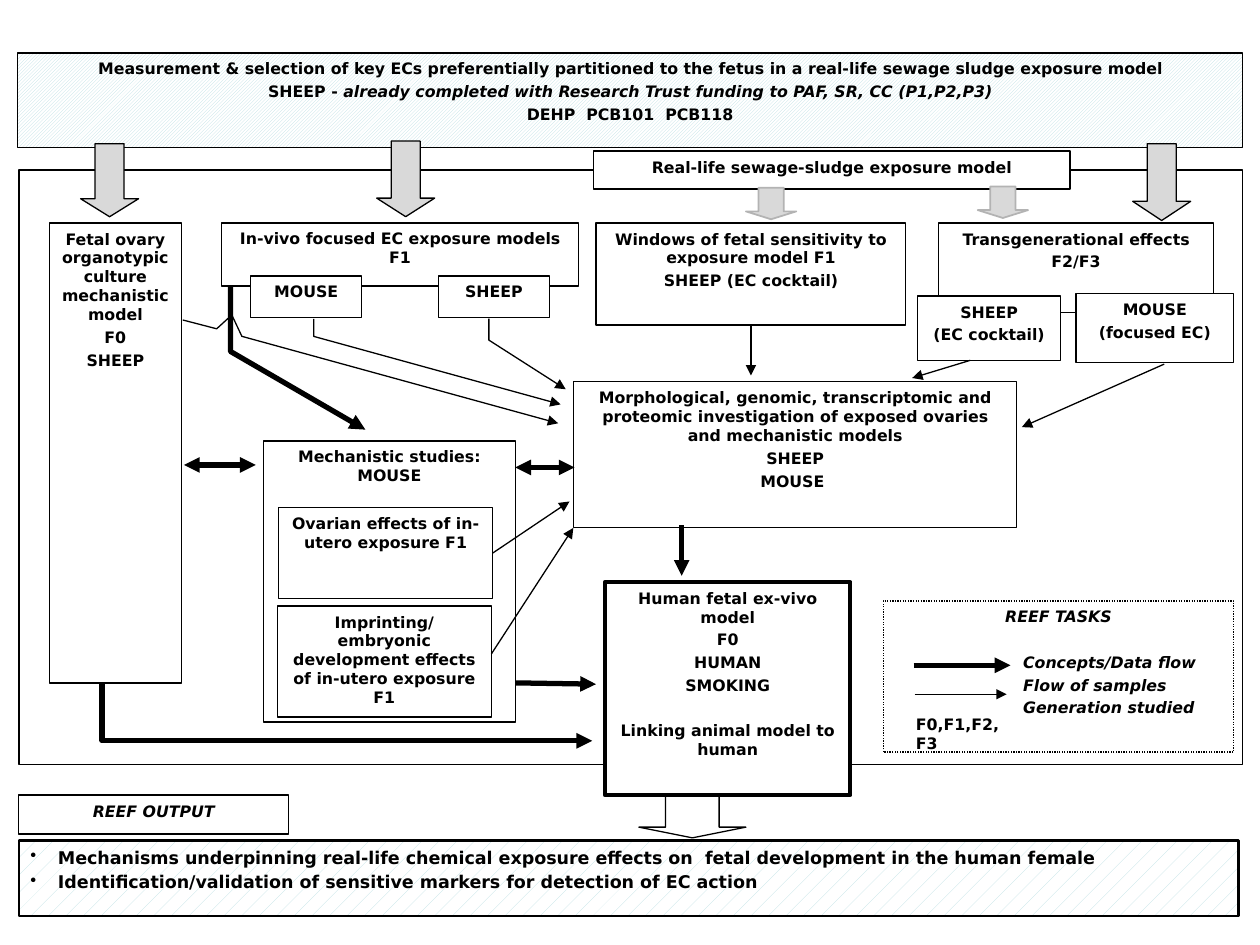
from dataclasses import dataclass

from lxml import etree
from pptx import Presentation
from pptx.dml.color import RGBColor
from pptx.enum.dml import MSO_LINE, MSO_PATTERN
from pptx.enum.shapes import MSO_CONNECTOR, MSO_SHAPE
from pptx.enum.text import MSO_ANCHOR, PP_ALIGN
from pptx.oxml.ns import qn
from pptx.util import Inches, Pt

RECTANGLE = MSO_SHAPE.RECTANGLE
DOWN_ARROW = MSO_SHAPE.DOWN_ARROW
STRAIGHT = MSO_CONNECTOR.STRAIGHT
DOTTED = MSO_LINE.ROUND_DOT
FINE_DOTS = MSO_PATTERN.PERCENT_5
DIAGONALS = MSO_PATTERN.LIGHT_UPWARD_DIAGONAL
LEFT, CENTER = PP_ALIGN.LEFT, PP_ALIGN.CENTER
TOP = MSO_ANCHOR.TOP
BOTTOM_SIDE, RIGHT_SIDE = 2, 3


@dataclass(frozen=True)
class Theme:
    font: str = "DejaVu Sans"
    ink: str = "000000"
    paper: str = "FFFFFF"
    tint: str = "BBE0E3"
    grey: str = "D9D9D9"
    grey_edge: str = "B3B3B3"
    body: float = 9
    output: float = 10
    paragraph_gap: float = 2.2
    section_gap: float = 15
    thin: float = 0.75
    medium: float = 1
    strong: float = 1.5
    heavy: float = 2.25
    flow: float = 3


class Diagram:
    def __init__(self, slide, theme):
        self.slide = slide
        self.theme = theme

    def color(self, value):
        return RGBColor.from_string(value)

    def outline(self, shape, width, color=None):
        shape.line.width = Pt(width)
        shape.line.color.rgb = self.color(color or self.theme.ink)

    def arrowheads(self, shape, both=False):
        line = shape.line._get_or_add_ln()
        for tag in ("a:headEnd", "a:tailEnd") if both else ("a:tailEnd",):
            etree.SubElement(line, qn(tag), type="triangle")

    def set_text(self, shape, paragraphs, align=CENTER, italic=False, size=None, bullet=False):
        """Each paragraph is a string or a list of (text, italic) spans."""
        frame = shape.text_frame
        frame.word_wrap = True
        frame.vertical_anchor = TOP
        frame.margin_left = frame.margin_right = Inches(0.09)
        for index, content in enumerate(paragraphs):
            para = frame.add_paragraph() if index else frame.paragraphs[0]
            para.alignment = align
            if index:
                para.space_before = Pt(self.theme.paragraph_gap)
            if bullet:
                properties = para._p.get_or_add_pPr()
                properties.set("marL", str(Inches(0.22)))
                properties.set("indent", str(-Inches(0.22)))
                etree.SubElement(properties, qn("a:buChar"), char="•")
            spans = [(content, italic)] if isinstance(content, str) else content
            for text, slanted in spans:
                span = para.add_run()
                span.text = text
                span.font.name = self.theme.font
                span.font.size = Pt(size or self.theme.body)
                span.font.bold = True
                span.font.italic = slanted
                span.font.color.rgb = self.color(self.theme.ink)

    def box(self, place, paragraphs=(), fill=None, pattern=None, width=None, **text_style):
        box = self.slide.shapes.add_shape(RECTANGLE, *map(Inches, place))
        box.shadow.inherit = False
        if pattern:
            box.fill.patterned()
            box.fill.pattern = pattern
            box.fill.fore_color.rgb = self.color(self.theme.tint)
            box.fill.back_color.rgb = self.color(self.theme.paper)
        elif fill:
            box.fill.solid()
            box.fill.fore_color.rgb = self.color(fill)
        else:
            box.fill.background()
        self.outline(box, width or self.theme.thin)
        self.set_text(box, paragraphs, **text_style)
        return box

    def label(self, place, paragraphs, **text_style):
        label = self.slide.shapes.add_textbox(*map(Inches, place))
        self.set_text(label, paragraphs, align=LEFT, **text_style)

    def block_arrow(self, place, fill, head=0.25, width=None, edge=None):
        arrow = self.slide.shapes.add_shape(DOWN_ARROW, *map(Inches, place))
        arrow.shadow.inherit = False
        arrow.adjustments[0], arrow.adjustments[1] = 0.5, head
        arrow.fill.solid()
        arrow.fill.fore_color.rgb = self.color(fill)
        self.outline(arrow, width or self.theme.thin, edge)

    def arrow(self, start, end, width=None, both=False, source=None, side=None):
        arrow = self.slide.shapes.add_connector(STRAIGHT, *map(Inches, start + end))
        if source is not None:
            arrow.begin_connect(source, side)
        self.outline(arrow, width or self.theme.thin)
        self.arrowheads(arrow, both)
        etree.SubElement(arrow._element.spPr, qn("a:effectLst"))

    def bent_arrow(self, points, width=None):
        start, *rest = [tuple(map(Inches, point)) for point in points]
        builder = self.slide.shapes.build_freeform(*start)
        builder.add_line_segments(rest, close=False)
        arrow = builder.convert_to_shape()
        arrow.shadow.inherit = False
        arrow.fill.background()
        self.outline(arrow, width or self.theme.thin)
        self.arrowheads(arrow)


def main():
    deck = Presentation()
    deck.slide_width, deck.slide_height = Inches(10), Inches(7.5)
    theme = Theme()
    page = Diagram(deck.slides.add_slide(deck.slide_layouts[6]), theme)
    paper = theme.paper

    # Frame and arrows that lie behind the boxes
    page.block_arrow((5.07, 6.31, 0.85, 0.34), paper)
    page.arrow((5.41, 4.17), (5.41, 4.57), theme.flow)
    page.box((0.15, 1.35, 9.71, 4.72))

    # Central investigation and exposure studies
    page.box((4.55, 3.03, 3.52, 1.16), [
        "Morphological, genomic, transcriptomic and proteomic investigation "
        "of exposed ovaries and mechanistic models", "SHEEP", "MOUSE "])
    windows = page.box((4.73, 1.77, 2.46, 0.81), [
        "Windows of fetal sensitivity to exposure model F1", "SHEEP (EC cocktail)"], fill=paper)
    page.box((0.39, 1.77, 1.05, 3.65), [
        "Fetal ovary organotypic culture mechanistic model", "F0", "SHEEP"])
    human = page.box((4.8, 4.62, 1.95, 1.69), [
        "Human fetal ex-vivo model", "F0", "HUMAN", "SMOKING",
        "Linking animal model to human"], fill=paper, width=theme.heavy)
    human.text_frame.paragraphs[-1].space_before = Pt(theme.section_gap)
    page.box((7.45, 1.77, 2.18, 0.71), ["Transgenerational effects", "F2/F3"])
    page.box((1.76, 1.77, 2.83, 0.5), ["In-vivo focused EC exposure models F1"])
    for left, species in ((1.99, "MOUSE"), (3.48, "SHEEP")):
        page.box((left, 2.19, 0.88, 0.33), [species], fill=paper)
    page.box((7.28, 2.35, 1.14, 0.51), ["SHEEP", "(EC cocktail)"], fill=paper)
    page.box((8.54, 2.33, 1.25, 0.55), ["MOUSE", "(focused EC)"], fill=paper)

    # Mechanistic studies
    page.box((2.09, 3.5, 2, 2.23), ["Mechanistic studies: MOUSE"])
    page.box((2.2, 4.81, 1.7, 0.88), [
        "Imprinting/embryonic development effects of in-utero exposure F1"])
    ovarian = page.box((2.21, 4.03, 1.7, 0.72), ["Ovarian effects of in-utero exposure F1"])

    # Top panel and its block arrows
    page.box((0.14, 0.42, 9.72, 0.75), [
        "Measurement & selection of key ECs preferentially partitioned to the fetus "
        "in a real-life sewage sludge exposure model",
        [("SHEEP - ", False),
         ("already completed with Research Trust funding to PAF, SR, CC (P1,P2,P3)", True)],
        "DEHP  PCB101  PCB118"], pattern=DIAGONALS)
    for left, top, height, head in ((0.64, 1.14, 0.58, 0.31), (2.99, 1.12, 0.6, 0.32),
                                    (8.99, 1.14, 0.61, 0.33)):
        page.block_arrow((left, top, 0.46, height), theme.grey, head)
    page.box((4.71, 1.2, 3.78, 0.3), ["Real-life sewage-sludge exposure model"],
             fill=paper, width=theme.medium)
    for left, top in ((5.92, 1.49), (7.76, 1.48)):
        page.block_arrow((left, top, 0.4, 0.25), theme.grey,
                         width=theme.medium, edge=theme.grey_edge)

    # Flow of samples
    page.bent_arrow([(3.88, 2.53), (3.88, 2.7), (4.49, 3.09)])
    page.bent_arrow([(2.49, 2.53), (2.49, 2.67), (4.45, 3.21)])
    page.bent_arrow([(1.45, 2.54), (1.72, 2.61), (1.84, 2.5), (1.92, 2.67), (4.43, 3.36)])
    page.arrow((3.91, 4.39), (4.52, 3.98), source=ovarian, side=RIGHT_SIDE)
    page.arrow((5.96, 2.58), (5.96, 2.98), source=windows, side=BOTTOM_SIDE)
    for start, end in (((3.9, 5.19), (4.55, 4.19)), ((7.7, 2.86), (7.24, 3)),
                       ((9.24, 2.89), (8.11, 3.39))):
        page.arrow(start, end)

    # Concepts and data flow
    page.bent_arrow([(0.81, 5.42), (0.81, 5.88), (4.7, 5.88)], theme.flow)
    page.bent_arrow([(1.83, 2.27), (1.83, 2.79), (2.9, 3.41)], theme.flow)
    page.arrow((4.09, 5.42), (4.73, 5.43), theme.flow)
    page.arrow((4.56, 3.71), (4.09, 3.71), theme.flow, both=True)
    page.arrow((2.03, 3.69), (1.46, 3.69), theme.flow, both=True)

    # Legend
    legend = page.box((7.01, 4.77, 2.78, 1.2), ["REEF TASKS"], italic=True)
    legend.line.dash_style = DOTTED
    page.arrow((7.25, 5.28), (8.02, 5.28), theme.flow)
    page.arrow((7.26, 5.51), (7.99, 5.51))
    page.label((8.03, 5.13, 1.72, 0.79),
               ["Concepts/Data flow", "Flow of samples", "Generation studied"], italic=True)
    page.label((7.18, 5.62, 0.94, 0.4), ["F0,F1,F2, F3"])

    # Output
    page.box((0.15, 6.31, 2.14, 0.31), ["REEF OUTPUT"], italic=True)
    page.box((0.15, 6.67, 9.68, 0.6), [
        "Mechanisms underpinning real-life chemical exposure effects on  fetal development "
        "in the human female",
        "Identification/validation of sensitive markers for detection of EC action"],
        pattern=FINE_DOTS, width=theme.strong, align=LEFT, size=theme.output, bullet=True)

    deck.save("out.pptx")


if __name__ == "__main__":
    main()
